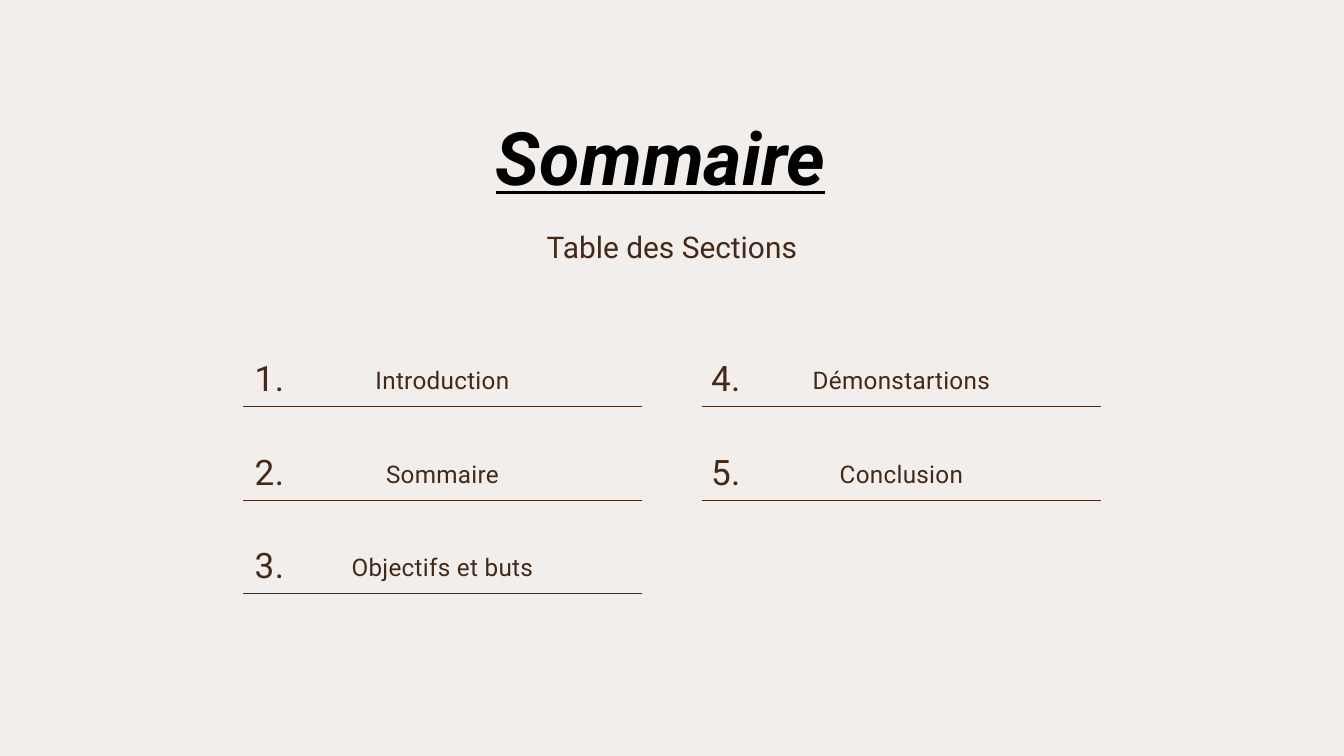
from pptx import Presentation
from pptx.dml.color import RGBColor
from pptx.enum.shapes import MSO_CONNECTOR
from pptx.enum.text import MSO_ANCHOR, MSO_AUTO_SIZE, PP_ALIGN
from pptx.oxml.ns import qn
from pptx.util import Inches, Pt
from lxml import etree

PAPER = RGBColor(0xF1, 0xEE, 0xEB)
BROWN = RGBColor(0x45, 0x29, 0x18)
BLACK = RGBColor(0, 0, 0)

SECTIONS = ["Introduction", "Sommaire", "Objectifs et buts",
            "Démonstartions", "Conclusion"]
ROWS = 3
ROW_STEP = 1.39
ENTRY_WIDTH = 5.93
# Left edges of the entries and of their numbers, per column
COLUMNS = [(3.62, 3.21), (10.45, 10)]


class SummarySlide:
    font_name = "Roboto"

    def __init__(self, prs):
        self.slide = prs.slides.add_slide(prs.slide_layouts[0])
        fill = self.slide.background.fill
        fill.solid()
        fill.fore_color.rgb = PAPER

    def set_text(self, shape, text, size, leading, color=BROWN, spacing=0):
        frame = shape.text_frame
        frame.margin_left = frame.margin_right = 0
        frame.margin_top = frame.margin_bottom = 0
        frame.word_wrap = True
        frame.auto_size = MSO_AUTO_SIZE.NONE
        frame.vertical_anchor = MSO_ANCHOR.TOP
        frame.text = text
        line = frame.paragraphs[0]
        line.alignment = PP_ALIGN.CENTER
        line.line_spacing = Pt(leading)
        line.space_before = Pt(0)
        font = line.font
        font.name, font.size, font.color.rgb = self.font_name, Pt(size), color
        if spacing:
            # Letter spacing is in hundredths of a point
            line._p.pPr.get_or_add_defRPr().set("spc", str(round(spacing * 100)))
        return font

    def heading(self, index, text, left, top, width, height, *style):
        holder = self.slide.placeholders[index]
        holder.left, holder.top = Inches(left), Inches(top)
        holder.width, holder.height = Inches(width), Inches(height)
        return self.set_text(holder, text, *style)

    def label(self, text, left, top, width, height, **style):
        box = self.slide.shapes.add_textbox(
            Inches(left), Inches(top), Inches(width), Inches(height))
        self.set_text(box, text, **style)

    def rule(self, left, top, width):
        rule = self.slide.shapes.add_connector(
            MSO_CONNECTOR.STRAIGHT, Inches(left), Inches(top),
            Inches(left + width), Inches(top))
        rule.line.color.rgb = BROWN
        rule.line.width = Pt(0.75)
        etree.SubElement(rule._element.spPr, qn("a:effectLst"))


def main():
    prs = Presentation()
    prs.slide_width, prs.slide_height = Inches(20), Inches(11.25)
    summary = SummarySlide(prs)

    # Title and subtitle
    title_font = summary.heading(0, "Sommaire", 3.45, 1.66, 12.76, 1.4,
                                 79, 94.8, BLACK)
    title_font.bold = title_font.italic = title_font.underline = True
    summary.heading(1, "Table des Sections", 3.62, 3.4, 12.76, 0.56, 32, 38.4)

    # Numbered sections, filled column by column
    for i, section in enumerate(SECTIONS):
        column, row = divmod(i, ROWS)
        entry_left, number_left = COLUMNS[column]
        drop = row * ROW_STEP
        summary.rule(entry_left, 6.05 + drop, ENTRY_WIDTH)
        summary.label(section, entry_left, 5.37 + drop, ENTRY_WIDTH, 0.51,
                      size=26, leading=36.4, spacing=0.3)
        summary.label(f"{i + 1}.", number_left, 5.2 + drop, 1.6, 0.73,
                      size=37.6, leading=52.7, spacing=0.5)

    prs.save("out.pptx")


if __name__ == "__main__":
    main()
